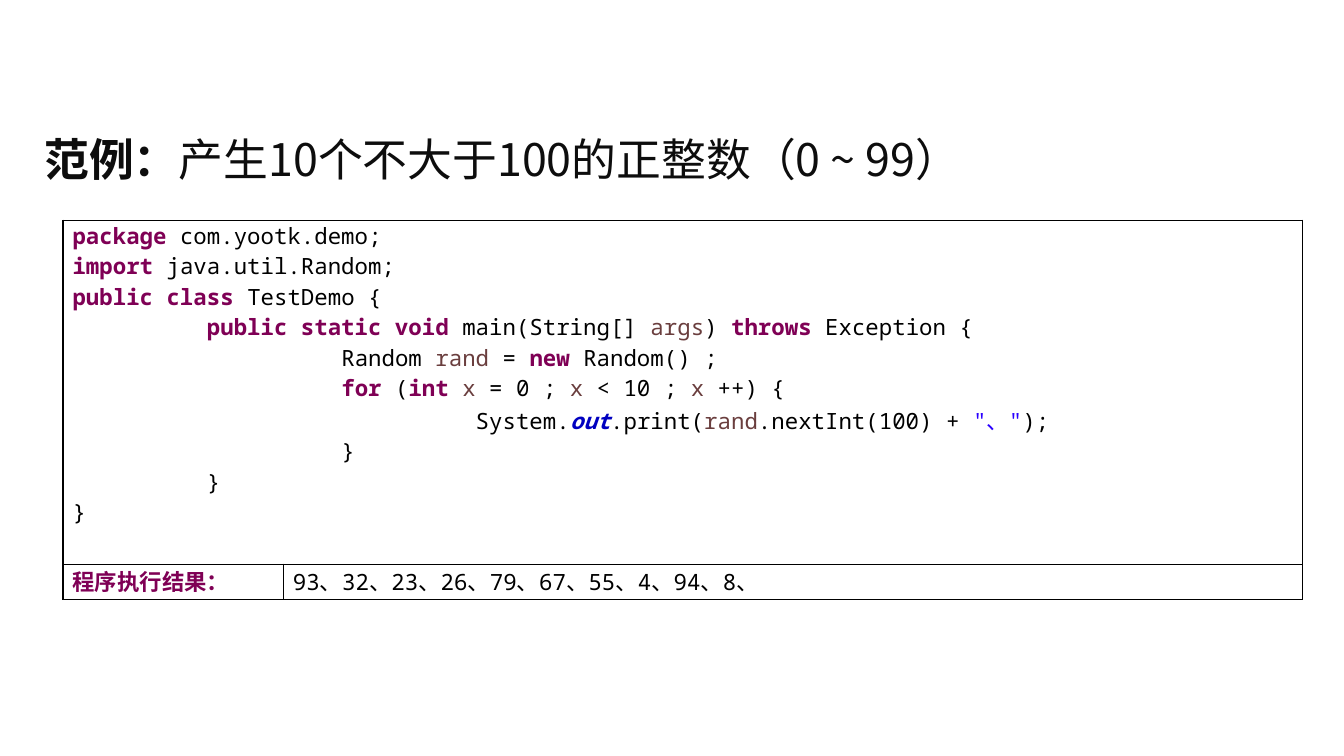
from lxml.etree import SubElement
from pptx import Presentation
from pptx.dml.color import RGBColor as Color
from pptx.enum.text import MSO_ANCHOR as Anchor, PP_ALIGN as Align
from pptx.oxml import parse_xml
from pptx.oxml.ns import nsdecls, qn
from pptx.util import Inches, Pt

COLORS = {"title": "0D0D0D", "plain": "000000", "keyword": "7F0055",
          "variable": "6A3E3E", "static": "0000C0", "string": "2A00FF",
          "border": "000000"}
CHINESE_FONT, CODE_FONT = "Noto Sans CJK SC", "Noto Sans Mono"

# Text styles of the code, by name
STYLES = {name: {"name": CODE_FONT, "size": Pt(12), "bold": name in ("keyword", "static"),
                 "italic": name == "static"}
          for name in ("plain", "keyword", "variable", "static", "string")}
STYLES["title"] = {"name": CHINESE_FONT, "size": Pt(24), "bold": False}
STYLES["title_bold"] = STYLES["title"] | {"bold": True}

# Code lines as (style, text) pieces
CODE = [
    [("keyword", "package"), ("plain", " com.yootk.demo;")],
    [("keyword", "import"), ("plain", " java.util.Random;")],
    [("keyword", "public class"), ("plain", " TestDemo {")],
    [("plain", "\t"), ("keyword", "public static void"), ("plain", " main(String[] "),
     ("variable", "args"), ("plain", ") "), ("keyword", "throws"), ("plain", " Exception {")],
    [("plain", "\t\tRandom "), ("variable", "rand"), ("plain", " = "),
     ("keyword", "new"), ("plain", " Random() ;")],
    [("plain", "\t\t"), ("keyword", "for"), ("plain", " ("), ("keyword", "int "),
     ("variable", "x"), ("plain", " = 0 ; "), ("variable", "x"), ("plain", " < 10 ; "),
     ("variable", "x"), ("plain", " ++) {")],
    [("plain", "\t\t\tSystem."), ("static", "out"), ("plain", ".print("),
     ("variable", "rand"), ("plain", ".nextInt(100) + "), ("string", '"、"'), ("plain", ");")],
    [("plain", "\t\t}")],
    [("plain", "\t}")],
    [("plain", "}")],
]
RESULT_LABEL = [[("keyword", "程序执行结果：")]]
RESULT = [[("plain", "93、32、23、26、79、67、55、4、94、8、")]]
TITLE = [[("title_bold", "范例："), ("title", "产生10个不大于100的正整数（0 ~ 99）")]]


def write_lines(text_frame, lines):
    """Fill a text frame with one paragraph per line of styled pieces."""
    for index, pieces in enumerate(lines):
        paragraph = text_frame.add_paragraph() if index else text_frame.paragraphs[0]
        paragraph.alignment = Align.LEFT
        # One tab stop per inch for each leading tab
        depth = pieces[0][1].count("\t")
        if depth:
            tabs = SubElement(paragraph._p.get_or_add_pPr(), qn("a:tabLst"))
            for stop in range(1, depth + 1):
                SubElement(tabs, qn("a:tab"), pos=str(Inches(stop)), algn="l")
        for style, text in pieces:
            run = paragraph.add_run()
            run.text = text
            for attribute, value in STYLES[style].items():
                setattr(run.font, attribute, value)
            run.font.color.rgb = Color.from_string(COLORS[style.removesuffix("_bold")])
            SubElement(run.font._element, qn("a:ea"), typeface=CHINESE_FONT)


def add_borders(cell):
    """Draw a thin line on all four sides of a cell."""
    for index, side in enumerate("LRTB"):
        cell._tc.get_or_add_tcPr().insert(index, parse_xml(
            f'<a:ln{side} {nsdecls("a")} w="{Pt(1)}"><a:solidFill>'
            f'<a:srgbClr val="{COLORS["border"]}"/></a:solidFill></a:ln{side}>'))


# Widescreen page, 16 to 9
presentation = Presentation()
presentation.slide_width = Inches(10)
presentation.slide_height = Inches(10 * 9 / 16)
slide = presentation.slides.add_slide(presentation.slide_layouts[5])

# Title
title = slide.shapes.title
title.left, title.top, title.width, title.height = map(Inches, (0.23, 0.86, 9.53, 0.64))
title.text_frame.vertical_anchor = Anchor.MIDDLE
write_lines(title.text_frame, TITLE)

# Table: code across the top row, program output below
columns, rows = [1.64, 7.58], [2.56, 0.26]
table = slide.shapes.add_table(len(rows), len(columns), Inches(0.47), Inches(1.64),
                               Inches(sum(columns)), Inches(sum(rows))).table
table.first_row = table.horz_banding = False
for column, width in zip(table.columns, columns):
    column.width = Inches(width)
for row, height in zip(table.rows, rows):
    row.height = Inches(height)
table.cell(0, 0).merge(table.cell(0, 1))

cell_format = {"margin_left": Inches(0.07), "margin_right": Inches(0.07),
               "margin_top": 0, "margin_bottom": 0, "vertical_anchor": Anchor.TOP}
for cell in table.iter_cells():
    for attribute, value in cell_format.items():
        setattr(cell, attribute, value)
    cell.fill.background()
    add_borders(cell)

for position, lines in {(0, 0): CODE, (1, 0): RESULT_LABEL, (1, 1): RESULT}.items():
    write_lines(table.cell(*position).text_frame, lines)

presentation.save("out.pptx")
